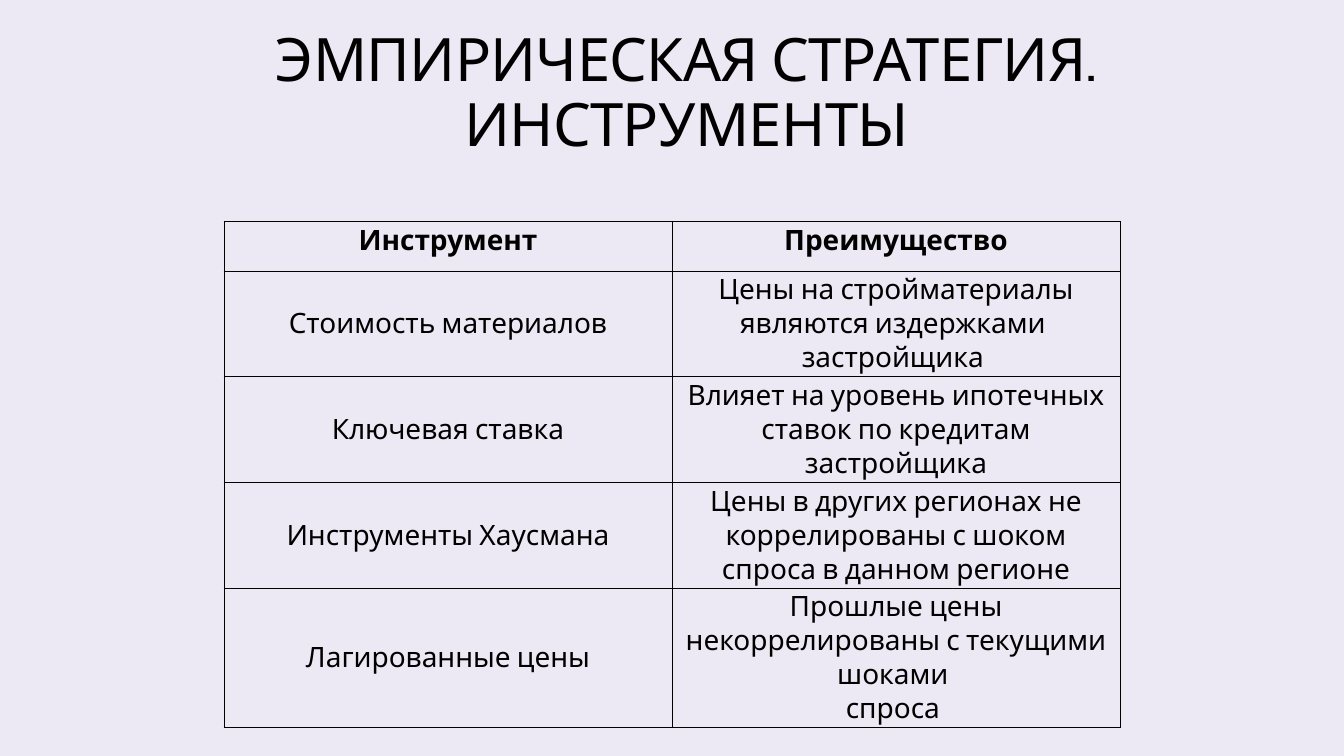
import pptx
import pptx.dml.color
import pptx.enum.text
import pptx.oxml
import pptx.oxml.ns
import pptx.util

Pt = pptx.util.Pt
RGBColor = pptx.dml.color.RGBColor
PP_ALIGN = pptx.enum.text.PP_ALIGN
MSO_ANCHOR = pptx.enum.text.MSO_ANCHOR

BACKGROUND = RGBColor(0xEC, 0xE9, 0xF4)
BLACK = RGBColor(0, 0, 0)
FONT = "Cabin"

TITLE = "ЭМПИРИЧЕСКАЯ СТРАТЕГИЯ. ИНСТРУМЕНТЫ"
ROWS = [
    ("Инструмент", "Преимущество"),
    ("Стоимость материалов", "Цены на стройматериалы являются издержками \nзастройщика "),
    ("Ключевая ставка", "Влияет на уровень ипотечных ставок по кредитам застройщика"),
    ("Инструменты Хаусмана",
     "Цены в других регионах не коррелированы с шоком спроса в данном регионе"),
    ("Лагированные цены", "Прошлые цены некоррелированы с текущими шоками \nспроса "),
]


def format_text(tf, size, spacing, bold=False):
    """Centre and style every paragraph of a text frame."""
    for p in tf.paragraphs:
        p.alignment = PP_ALIGN.CENTER
        p.line_spacing = spacing
        p.space_before = p.space_after = Pt(0)
        p.font.name = FONT
        p.font.size = Pt(size)
        p.font.bold = bold
        p.font.color.rgb = BLACK


def add_title(s, left, top, width, height):
    """Place and format the title placeholder."""
    sp = s.shapes.title
    sp.left, sp.top, sp.width, sp.height = Pt(left), Pt(top), Pt(width), Pt(height)
    tf = sp.text_frame
    tf.text = TITLE
    tf.word_wrap = True
    tf.auto_size = pptx.enum.text.MSO_AUTO_SIZE.NONE
    tf.vertical_anchor = MSO_ANCHOR.TOP
    tf.margin_top = Pt(3)
    format_text(tf, 85.5, 0.9)
    tf.paragraphs[0].runs[0].font._element.set("spc", "-90")


def set_borders(cell):
    """Draw a thin black line on all four sides of a cell."""
    tc_pr = cell._tc.get_or_add_tcPr()
    for i, side in enumerate(("lnL", "lnR", "lnT", "lnB")):
        tc_pr.insert(i, pptx.oxml.parse_xml(
            f'<a:{side} {pptx.oxml.ns.nsdecls("a")} w="{Pt(1)}">'
            f'<a:solidFill><a:srgbClr val="{BLACK}"/></a:solidFill></a:{side}>'))


def add_instrument_table(s, left, top, width, header_height, row_height):
    """Add the table of instruments and their advantages."""
    height = header_height + row_height * (len(ROWS) - 1)
    table = s.shapes.add_table(
        len(ROWS), 2, Pt(left), Pt(top), Pt(width), Pt(height)).table
    table.horz_banding = False
    for column in table.columns:
        column.width = Pt(width / 2)
    for r, texts in enumerate(ROWS):
        header = r == 0
        table.rows[r].height = Pt(header_height if header else row_height)
        for c, text in enumerate(texts):
            cell = table.cell(r, c)
            cell.text = text
            cell.fill.background()
            cell.margin_top = cell.margin_bottom = Pt(2.7)
            cell.vertical_anchor = MSO_ANCHOR.TOP if header else MSO_ANCHOR.MIDDLE
            format_text(cell.text_frame, 40, 1.0, bold=header)
            set_borders(cell)


def main():
    """Build and save the slide."""
    prs = pptx.Presentation()
    prs.slide_width, prs.slide_height = Pt(1920), Pt(1080)
    s = prs.slides.add_slide(prs.slide_layouts[5])
    s.background.fill.solid()
    s.background.fill.fore_color.rgb = BACKGROUND
    add_title(s, 225, 40, 1512, 165)
    add_instrument_table(s, 320, 316, 1280, 71.3, 116)
    prs.save("out.pptx")


if __name__ == "__main__":
    main()
